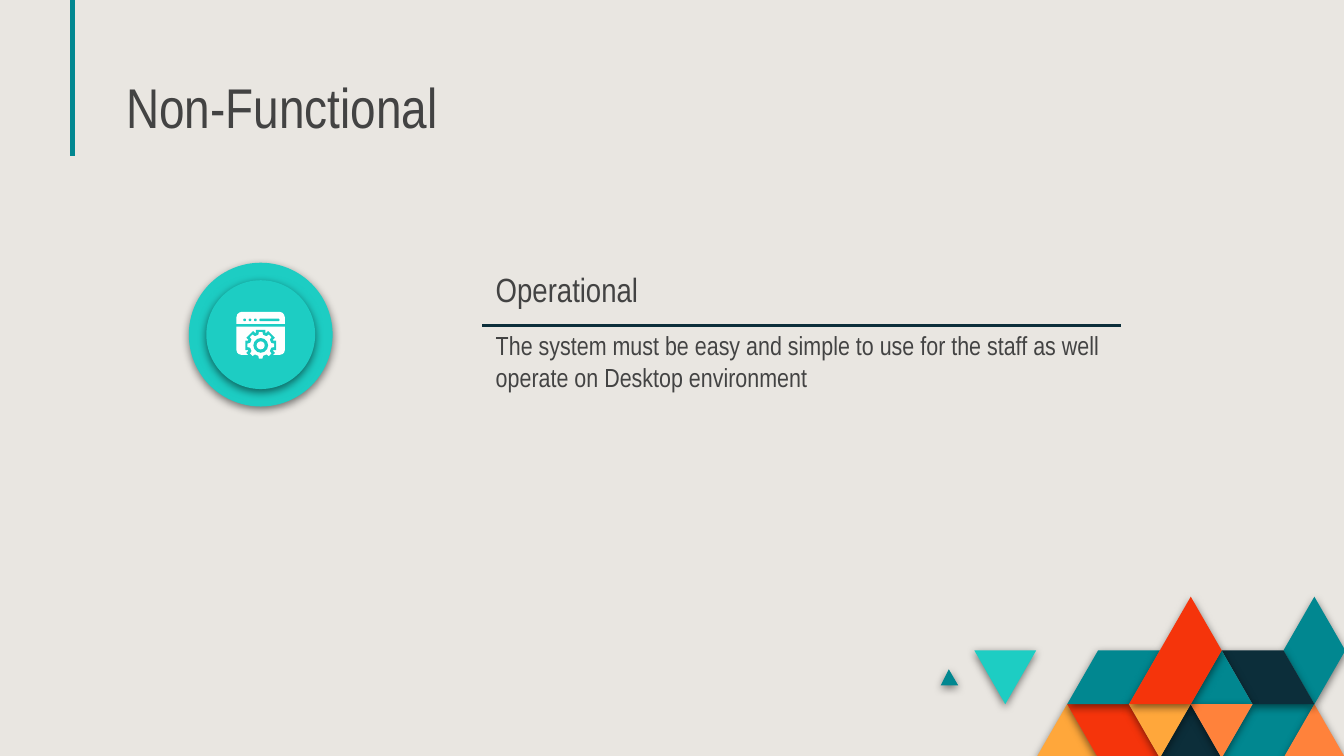
import math
from dataclasses import dataclass

import pptx
import pptx.dml.color
import pptx.enum.shapes
import pptx.enum.text
import pptx.oxml.ns
import pptx.util
from lxml import etree

Inches = pptx.util.Inches
SHAPE = pptx.enum.shapes.MSO_SHAPE
qn = pptx.oxml.ns.qn


@dataclass(frozen=True)
class Theme:
    background: str = "E9E6E1"
    text: str = "434343"
    teal: str = "018790"
    turquoise: str = "1DCDC3"
    navy: str = "0C2E3A"
    red: str = "F5340B"
    orange: str = "FF823B"
    amber: str = "FFA73B"
    white: str = "FFFFFF"
    font: str = "Arial Narrow"
    title_size: int = 30
    heading_size: int = 18
    body_size: int = 14


THEME = Theme()

# Mosaic lattice: columns and rows of the triangle corners
COL_LEFT, COL_STEP = 7.25, 0.23
ROW_TOP, ROW_STEP = 4.44, 0.4
TILES = [
    (THEME.amber, [(2, 3), (3, 2), (4, 3)]),
    (THEME.red, [(3, 2), (5, 2), (6, 3), (4, 3)]),
    (THEME.teal, [(8, 3), (9, 2), (11, 2), (10, 3)]),
    (THEME.orange, [(10, 3), (11, 2), (12, 3)]),
    (THEME.navy, [(6, 3), (7, 2), (8, 3)]),
    (THEME.teal, [(3, 2), (4, 1), (6, 1), (5, 2)]),
    (THEME.turquoise, [(0, 1), (2, 1), (1, 2)]),
    (THEME.teal, [(10, 1), (11, 0), (12, 1), (11, 2)]),
    (THEME.navy, [(8, 1), (10, 1), (11, 2), (9, 2)]),
    (THEME.teal, [(7, 2), (8, 1), (9, 2)]),
    (THEME.orange, [(7, 2), (9, 2), (8, 3)]),
    (THEME.amber, [(5, 2), (7, 2), (6, 3)]),
    (THEME.red, [(5, 2), (7, 0), (8, 1), (7, 2)]),
]


def rgb(color):
    return pptx.dml.color.RGBColor.from_string(color)


def set_values(target, values):
    for name, value in values.items():
        setattr(target, name, value)


def paint(sp, color, shadow=False):
    """Give a flat fill without outline, and a soft drop shadow if asked."""
    sp.fill.solid()
    sp.fill.fore_color.rgb = rgb(color)
    sp.line.fill.background()
    sp.shadow.inherit = False
    if shadow:
        effects = sp._element.spPr.find(qn("a:effectLst"))
        outer = etree.SubElement(
            effects, qn("a:outerShdw"), blurRad=str(pptx.util.Pt(4.5)),
            dist=str(pptx.util.Pt(1.5)), dir="5400000", algn="bl", rotWithShape="0")
        black = etree.SubElement(outer, qn("a:srgbClr"), val="000000")
        etree.SubElement(black, qn("a:alpha"), val="50000")


def add_preset(s, kind, box, color, adjustments=(), shadow=False):
    sp = s.shapes.add_shape(kind, *map(Inches, box))
    for i, value in enumerate(adjustments):
        sp.adjustments[i] = value
    paint(sp, color, shadow)


def add_disc(s, center, diameter, color, shadow=False):
    x, y = (c - diameter / 2 for c in center)
    add_preset(s, SHAPE.OVAL, (x, y, diameter, diameter), color, shadow=shadow)


def add_polygon(s, points, color, shadow=False):
    start, *others = [(Inches(x), Inches(y)) for x, y in points]
    builder = s.shapes.build_freeform(*start)
    builder.add_line_segments(others, close=True)
    paint(builder.convert_to_shape(), color, shadow)


def add_line(s, start, end, color, width):
    line = s.shapes.add_connector(
        pptx.enum.shapes.MSO_CONNECTOR.STRAIGHT, *map(Inches, start + end))
    line.line.color.rgb = rgb(color)
    line.line.width = pptx.util.Pt(width)
    etree.SubElement(line._element.spPr, qn("a:effectLst"))


def write_text(sp, box, text, size):
    set_values(sp, dict(zip(("left", "top", "width", "height"), map(Inches, box))))
    tf = sp.text_frame
    margins = ("margin_left", "margin_top", "margin_right", "margin_bottom")
    set_values(tf, {
        "text": text,
        "word_wrap": True,
        "auto_size": pptx.enum.text.MSO_AUTO_SIZE.NONE,
        "vertical_anchor": pptx.enum.text.MSO_ANCHOR.BOTTOM,
        **dict.fromkeys(margins, Inches(0.1)),
    })
    p = tf.paragraphs[0]
    p.alignment = pptx.enum.text.PP_ALIGN.LEFT
    font = p.runs[0].font
    set_values(font, {"name": THEME.font, "size": pptx.util.Pt(size)})
    font.color.rgb = rgb(THEME.text)


def add_text(s, box, text, size):
    write_text(s.shapes.add_textbox(*map(Inches, box)), box, text, size)


def add_gear(s, center, color, root, tip, root_half, tip_half):
    """Draw eight teeth; the half values are half tooth angles in radians."""
    corners = ((root, -root_half), (tip, -tip_half), (tip, tip_half), (root, root_half))
    points = []
    for tooth in range(8):
        for radius, offset in corners:
            angle = tooth * math.pi / 4 + offset
            points.append((center[0] + radius * math.cos(angle),
                           center[1] + radius * math.sin(angle)))
    add_polygon(s, points, color)


def add_mosaic(s):
    for color, corners in TILES:
        points = [(COL_LEFT + COL_STEP * col, ROW_TOP + ROW_STEP * row)
                  for col, row in corners]
        add_polygon(s, points, color, shadow=True)
    add_polygon(s, [(7, 5.1), (7.06, 4.98), (7.13, 5.1)], THEME.teal, shadow=True)


def add_window_icon(s):
    for diameter in (1.07, 0.81):
        add_disc(s, (1.94, 2.49), diameter, THEME.turquoise, shadow=True)
    panel = SHAPE.ROUND_2_SAME_RECTANGLE
    add_preset(s, panel, (1.76, 2.32, 0.36, 0.09), THEME.white, (0.45, 0))
    add_preset(s, panel, (1.76, 2.43, 0.36, 0.21), THEME.white, (0, 0.17))
    for x in (1.82, 1.86, 1.9):
        add_disc(s, (x, 2.38), 0.02, THEME.turquoise)
    add_preset(s, SHAPE.ROUNDED_RECTANGLE, (1.93, 2.37, 0.15, 0.02),
               THEME.turquoise, (0.5,))
    hub = (1.94, 2.57)
    add_gear(s, hub, THEME.turquoise, 0.1, 0.12, 0.36, 0.3)
    add_gear(s, hub, THEME.white, 0.08, 0.1, 0.22, 0.13)
    add_disc(s, hub, 0.11, THEME.turquoise)
    add_disc(s, hub, 0.06, THEME.white)


def main():
    prs = pptx.Presentation()
    set_values(prs, {"slide_width": Inches(10), "slide_height": Inches(10 * 9 / 16)})
    s = prs.slides.add_slide(prs.slide_layouts.get_by_name("Title Only"))
    s.background.fill.solid()
    s.background.fill.fore_color.rgb = rgb(THEME.background)

    add_line(s, (0.54, 0), (0.54, 1.16), THEME.teal, 2.25)
    add_mosaic(s)
    add_window_icon(s)
    write_text(s.shapes.title, (0.84, 0.51, 2.93, 0.63), "Non-Functional",
               THEME.title_size)
    add_line(s, (3.59, 2.42), (8.34, 2.42), THEME.navy, 1.5)
    add_text(s, (3.59, 1.77, 2.15, 0.63), "Operational", THEME.heading_size)
    add_text(s, (3.59, 2.5, 4.75, 0.52),
             "The system must be easy and simple to use for the staff as well "
             "operate on Desktop environment", THEME.body_size)
    prs.save("out.pptx")


if __name__ == "__main__":
    main()
